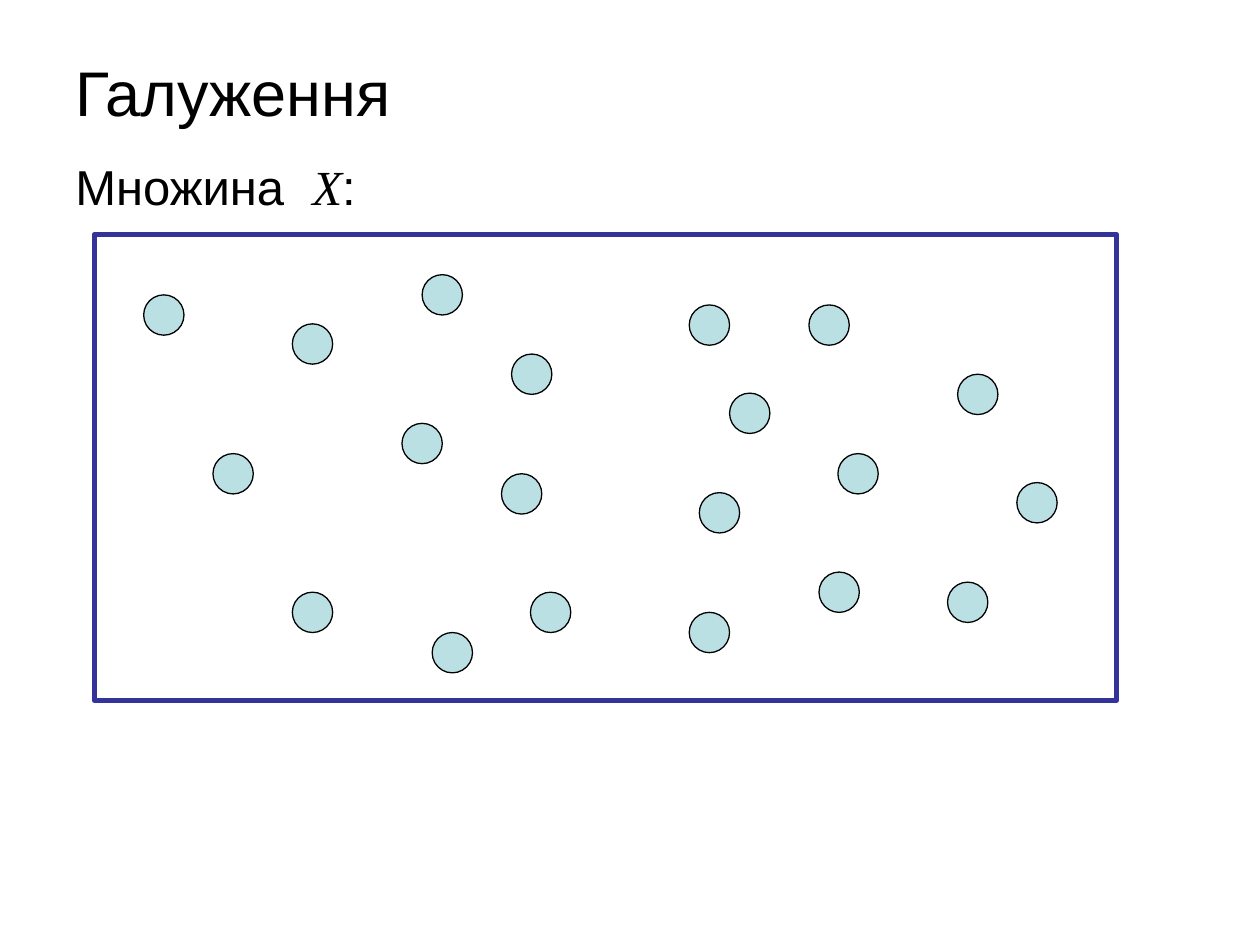
from typing import NamedTuple

from lxml.etree import SubElement
from pptx import Presentation
from pptx.dml.color import RGBColor
from pptx.enum.shapes import MSO_SHAPE
from pptx.enum.text import MSO_ANCHOR
from pptx.oxml.ns import qn
from pptx.util import Inches, Pt

DIAMETER = 0.32


class Point(NamedTuple):
    """Left and top of one element of the set, in inches."""

    left: float
    top: float


class Span(NamedTuple):
    """A piece of text with its font."""

    text: str
    font: str = "Arial"
    italic: bool = False


POINTS = [
    Point(1.14, 2.34), Point(2.32, 2.57), Point(3.35, 2.18), Point(3.19, 3.36),
    Point(1.69, 3.6), Point(2.32, 4.7), Point(3.43, 5.02), Point(4.06, 2.81),
    Point(4.21, 4.7), Point(3.98, 3.76), Point(5.47, 2.42), Point(5.79, 3.12),
    Point(5.55, 3.91), Point(5.47, 4.86), Point(6.5, 4.54), Point(6.65, 3.6),
    Point(6.42, 2.42), Point(7.6, 2.97), Point(7.52, 4.62), Point(8.07, 3.83),
]


def colour(value: str) -> RGBColor:
    """Turn a hex string into a colour."""
    return RGBColor.from_string(value)


def add_text(page, left: float, top: float, width: float, height: float,
             spans: list[Span], size: float, anchor, tab: float | None = None) -> None:
    """Add a one-paragraph text box, with an optional tab stop in inches."""
    box = page.shapes.add_textbox(Inches(left), Inches(top), Inches(width), Inches(height))
    frame = box.text_frame
    for name, value in {"word_wrap": True, "vertical_anchor": anchor}.items():
        setattr(frame, name, value)
    para = frame.paragraphs[0]
    if tab is not None:
        stops = SubElement(para._p.get_or_add_pPr(), qn("a:tabLst"))
        SubElement(stops, qn("a:tab"), pos=str(Inches(tab)), algn="l")
    for span in spans:
        run = para.add_run()
        run.text = span.text
        style = {"name": span.font, "size": Pt(size), "italic": span.italic}
        for name, value in style.items():
            setattr(run.font, name, value)
        run.font.color.rgb = colour("000000")


def add_outline(page, kind, left: float, top: float, width: float, height: float,
                line: str, weight: float, fill: str | None = None) -> None:
    """Add an outlined preset shape, filled only when a fill is given."""
    shape = page.shapes.add_shape(
        kind, Inches(left), Inches(top), Inches(width), Inches(height))
    shape.shadow.inherit = False
    if fill is None:
        shape.fill.background()
    else:
        shape.fill.solid()
        shape.fill.fore_color.rgb = colour(fill)
    shape.line.color.rgb = colour(line)
    shape.line.width = Pt(weight)


def main() -> None:
    """Build the slide and save it."""
    deck = Presentation()
    deck.slide_width, deck.slide_height = Inches(10), Inches(7.5)
    page = deck.slides.add_slide(deck.slide_layouts[6])
    add_text(page, 0.5, 0.3, 9, 0.85, [Span("Галуження")], 36, MSO_ANCHOR.MIDDLE)
    label = [Span("Множина\t"), Span("X", "Times New Roman", True), Span(":")]
    add_text(page, 0.5, 1.19, 8.99, 5.51, label, 28, MSO_ANCHOR.TOP, tab=1.88)
    for point in POINTS:
        add_outline(page, MSO_SHAPE.OVAL, point.left, point.top, DIAMETER, DIAMETER,
                    "000000", 0.75, "BBE0E3")
    add_outline(page, MSO_SHAPE.RECTANGLE, 0.75, 1.86, 8.11, 3.7, "333399", 3)
    deck.save("out.pptx")


if __name__ == "__main__":
    main()
